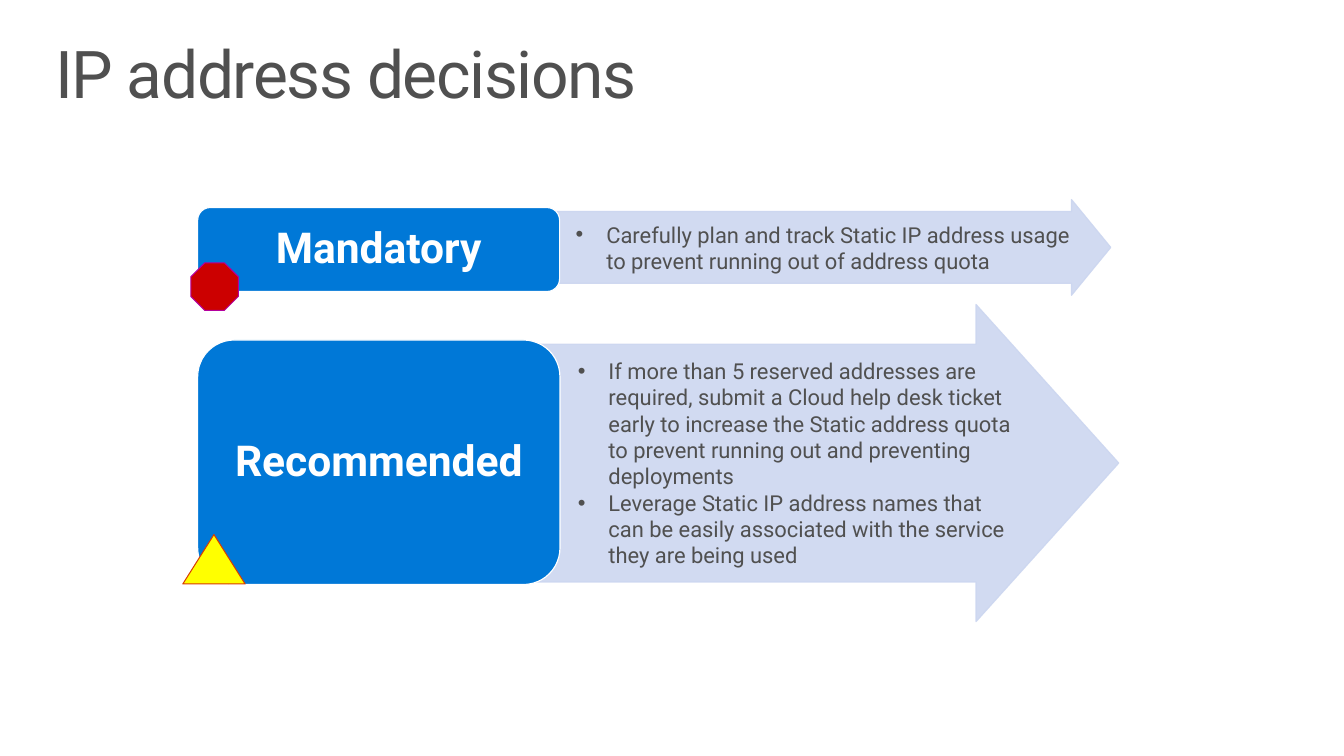
from dataclasses import dataclass

from lxml.etree import SubElement
from pptx import Presentation
from pptx.dml.color import RGBColor
from pptx.enum.shapes import MSO_SHAPE
from pptx.enum.text import MSO_ANCHOR, PP_ALIGN
from pptx.oxml.ns import qn
from pptx.util import Pt


@dataclass(frozen=True)
class Theme:
    face: str = "Roboto"
    ink: str = "505050"
    white: str = "FFFFFF"
    blue: str = "0078D7"
    pale: str = "CCD6F0"
    red: str = "CC0000"
    purple: str = "B4009E"
    yellow: str = "FFFF00"
    orange: str = "D83B01"
    title: float = 48
    label: float = 31
    body: float = 16


theme = Theme()

TITLE = "IP address decisions"
# Places are left, top, width, height; head is arrowhead length over arrow height
ROWS = [
    {
        "label": "Mandatory",
        "box": (144, 151.2, 263.7, 61.2),
        "arrow": (382.3, 145.4, 427, 69.8),
        "head": 0.41,
        "points": [
            "Carefully plan and track Static IP address usage to prevent "
            "running out of address quota",
        ],
    },
    {
        "label": "Recommended",
        "box": (144, 247.7, 264, 178.2),
        "arrow": (383.8, 221.8, 431.3, 231.1),
        "head": 0.45,
        "points": [
            "If more than 5 reserved addresses are required, submit a Cloud "
            "help desk ticket early to increase the Static address quota to "
            "prevent running out and preventing deployments",
            "Leverage Static IP address names that can be easily associated "
            "with the service they are being used",
        ],
    },
]
SIGNS = [
    (MSO_SHAPE.OCTAGON, (139, 191.5, 34.6, 34.6), theme.red, theme.purple),
    (MSO_SHAPE.ISOSCELES_TRIANGLE, (133.2, 389.5, 45.4, 36), theme.yellow, theme.orange),
]
SHAFT = 0.75
CORNER = 0.15
INDENT = 59.5
HANG = 22.3


def fade(shape, opacity):
    """Set the opacity, in percent, of the fill and the line."""
    for color in shape.element.spPr.iter(qn("a:srgbClr")):
        SubElement(color, qn("a:alpha"), val=str(opacity * 1000))


def draw(slide, kind, place, fill, line, width=0.75, adjust=()):
    shape = slide.shapes.add_shape(kind, *map(Pt, place))
    shape.shadow.inherit = False
    shape.fill.solid()
    shape.fill.fore_color.rgb = RGBColor.from_string(fill)
    shape.line.color.rgb = RGBColor.from_string(line)
    shape.line.width = Pt(width)
    for i, value in enumerate(adjust):
        shape.adjustments[i] = value
    return shape


def write(shape, lines, size, color=theme.ink, bold=False, align=PP_ALIGN.LEFT,
          anchor=MSO_ANCHOR.MIDDLE, inset=(0, 0), leading=1.0, bullet=False, track=0):
    frame = shape.text_frame
    frame.word_wrap = True
    frame.vertical_anchor = anchor
    frame.margin_left = frame.margin_right = Pt(inset[0])
    frame.margin_top = frame.margin_bottom = Pt(inset[1])
    for i, text in enumerate(lines):
        para = frame.paragraphs[0] if i == 0 else frame.add_paragraph()
        para.alignment = align
        para.line_spacing = leading
        para.space_before = Pt(0)
        if bullet:
            props = para._p.get_or_add_pPr()
            props.set("marL", str(Pt(INDENT)))
            props.set("indent", str(-Pt(HANG)))
            SubElement(props, qn("a:buFont"), typeface="Arial")
            SubElement(props, qn("a:buChar"), char="•")
        run = para.add_run()
        run.text = text
        font = run.font
        font.name, font.size, font.bold = theme.face, Pt(size), bold
        font.color.rgb = RGBColor.from_string(color)
        if track:
            run._r.get_or_add_rPr().set("spc", str(track * 100))


def main():
    deck = Presentation()
    deck.slide_width, deck.slide_height = Pt(979.2), Pt(550.8)
    slide = deck.slides.add_slide(deck.slide_layouts[5])

    title = slide.shapes.title
    title.left, title.top, title.width, title.height = map(Pt, (28.8, 23, 921.6, 72))
    write(title, [TITLE], theme.title, anchor=MSO_ANCHOR.TOP,
          inset=(11.5, 7.2), leading=0.9, track=-1)

    for row in ROWS:
        arrow = draw(slide, MSO_SHAPE.RIGHT_ARROW, row["arrow"], theme.pale, theme.pale,
                     width=0.85, adjust=(SHAFT, row["head"]))
        fade(arrow, 90)
        write(arrow, row["points"], theme.body, bullet=True)
        box = draw(slide, MSO_SHAPE.ROUNDED_RECTANGLE, row["box"], theme.blue, theme.white,
                   width=0.85, adjust=(CORNER,))
        write(box, [row["label"]], theme.label, color=theme.white, bold=True,
              align=PP_ALIGN.CENTER, inset=(7.2, 7.2), leading=0.9)

    for kind, place, fill, line in SIGNS:
        draw(slide, kind, place, fill, line)

    deck.save("out.pptx")


if __name__ == "__main__":
    main()
